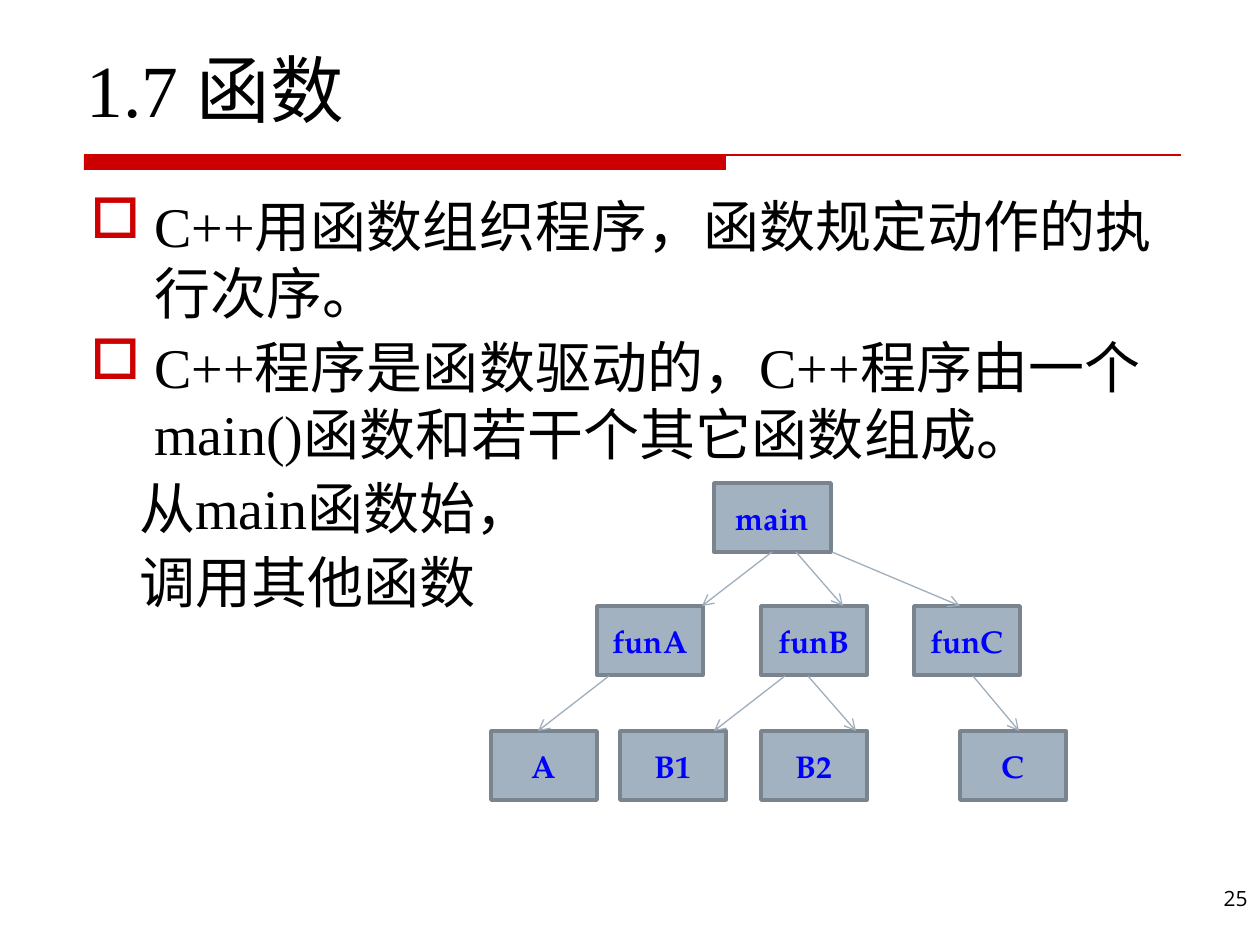
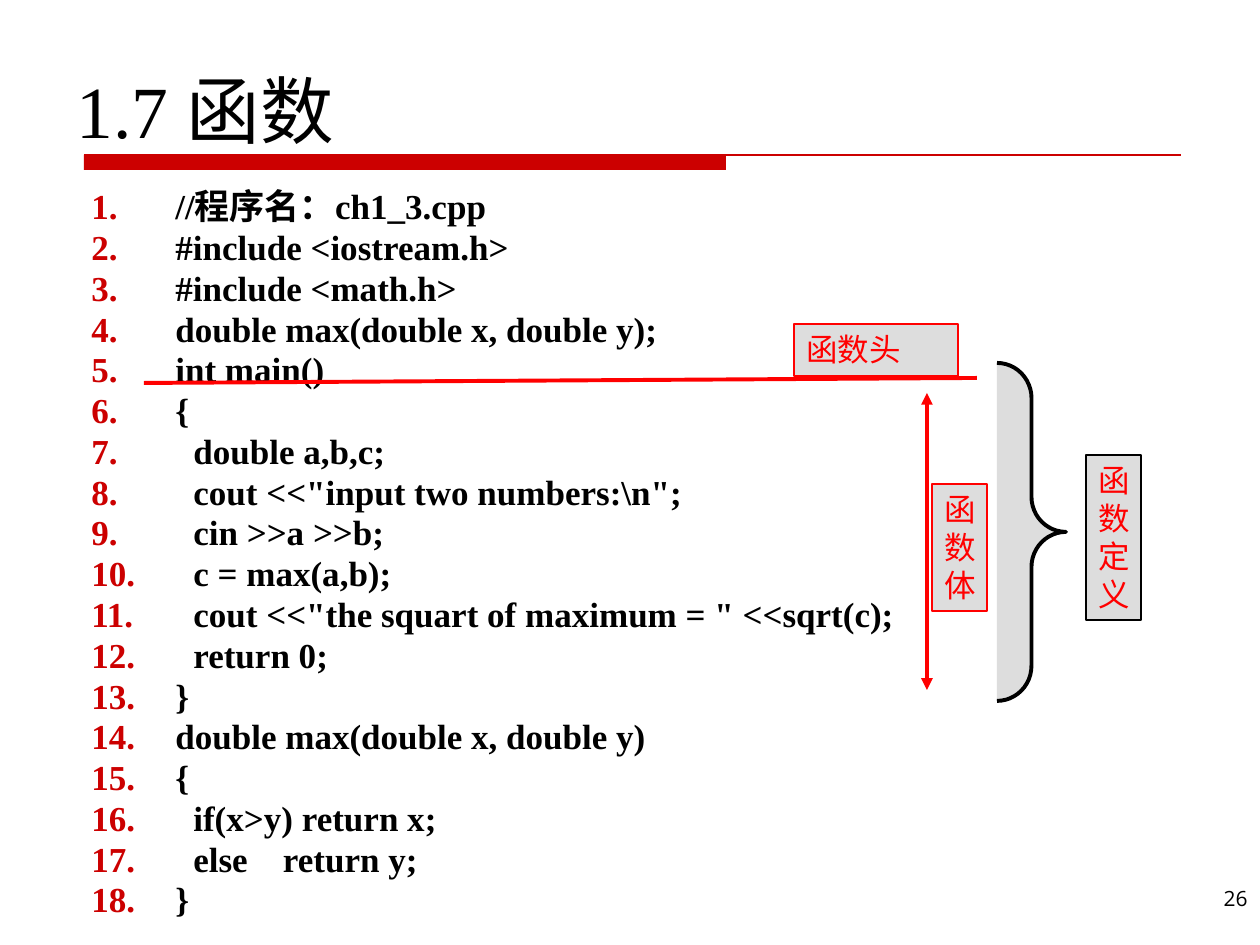
"""Builds two lecture slides on C++ functions: a call tree and an annotated program."""
from lxml import etree
from pptx import Presentation
from pptx import util as u
from pptx.dml.color import RGBColor
from pptx.enum import shapes, text
from pptx.oxml.ns import qn

PX = 914400 // 126
SERIF, SANS, BOOK = "Times New Roman", "Open Sans", "TeX Gyre Pagella"
LEFT, CENTER, RIGHT = text.PP_ALIGN.LEFT, text.PP_ALIGN.CENTER, text.PP_ALIGN.RIGHT
THEME = {
    "color": {"accent": "CC0000", "ink": "000000", "note": "FF0000", "pale": "DDDDDD",
              "node": "A3B2C1", "node_edge": "79848F", "link": "9FAEBD", "node_text": "0000FF"},
    "title": ({"name": SERIF, "size": u.Pt(42), "bold": False}, "ink", {"alignment": LEFT}),
    "number": ({"name": SANS, "size": u.Pt(12), "bold": False}, "ink", {"alignment": RIGHT}),
    "body": ({"name": SERIF, "size": u.Pt(32), "bold": False}, "ink",
             {"alignment": LEFT, "space_before": u.Pt(3.8)}),
    "code": ({"name": SERIF, "size": u.Pt(20), "bold": True}, "ink",
             {"alignment": LEFT, "space_before": u.Pt(2.9), "line_spacing": 0.85}),
    "node": ({"name": BOOK, "size": u.Pt(18), "bold": True}, "node_text", {"alignment": CENTER}),
    "note": ({"name": SERIF, "size": u.Pt(18), "bold": False}, "note", {"alignment": LEFT}),
}
COLOR = {k: RGBColor.from_string(v) for k, v in THEME["color"].items()}


def add_box(s, at, lines, style, fill=None, edge=None, width=0.75, anchor="TOP", kind="RECTANGLE"):
    at = [v * PX for v in at]
    if fill:
        sp = s.shapes.add_shape(getattr(shapes.MSO_SHAPE, kind), *at)
        sp.shadow.inherit = False
        sp.fill.solid()
        sp.fill.fore_color.rgb = COLOR[fill]
        if edge:
            sp.line.color.rgb = COLOR[edge]
            sp.line.width = u.Pt(width)
        else:
            sp.line.fill.background()
    else:
        sp = s.shapes.add_textbox(*at)
    tf = sp.text_frame
    tf.word_wrap = True
    tf.vertical_anchor = getattr(text.MSO_ANCHOR, anchor)
    font, color, layout = THEME[style]
    for i, (line, bullet, margin) in enumerate(lines):
        p = tf.add_paragraph() if i else tf.paragraphs[0]
        for k, v in layout.items():
            setattr(p, k, v)
        if margin:
            pPr = p._p.get_or_add_pPr()
            pPr.set("marL", str(margin * PX))
            pPr.set("indent", str(-margin * PX if bullet else 0))
        if bullet:
            clr = etree.SubElement(pPr, qn("a:buClr"))
            etree.SubElement(clr, qn("a:srgbClr"), val=THEME["color"]["accent"])
            tag, key = ("a:buAutoNum", "type") if bullet == "arabicPeriod" else ("a:buChar", "char")
            etree.SubElement(pPr, qn(tag)).set(key, bullet)
        for piece in line.split("|"):
            r = p.add_run()
            r.text = piece
            for k, v in font.items():
                setattr(r.font, k, v)
            r.font.color.rgb = COLOR[color]
            if piece == " ":
                r._r.get_or_add_rPr().set("spc", "1500")
    return sp


def add_line(s, ends, color, width=0.75, **arrows):
    c = s.shapes.add_connector(shapes.MSO_CONNECTOR.STRAIGHT, *[v * PX for v in ends])
    c.line.color.rgb = COLOR[color]
    c.line.width = u.Pt(width)
    ln = c.line._get_or_add_ln()
    for tag, kind in arrows.items():
        etree.SubElement(ln, qn("a:" + tag), type=kind)
    etree.SubElement(c._element.spPr, qn("a:effectLst"))


prs = Presentation()
prs.slide_width, prs.slide_height = u.Inches(10), u.Inches(7.5)
slides = []
for number, title_at in (("25", (74, 45, 1102, 93)), ("26", (64, 35, 1155, 124))):
    s = prs.slides.add_slide(prs.slide_layouts[6])
    add_box(s, (84, 155, 642, 15), [], "body", "accent")
    add_line(s, (84, 155, 1181, 155), "accent")
    add_box(s, (990, 879, 270, 66), [(number, None, 0)], "number")
    add_box(s, title_at, [("1.7 函数", None, 0)], "title", anchor="BOTTOM")
    slides.append(s)
tree, program = slides

add_box(tree, (78, 185, 1102, 684), [
    ("C++用函数组织程序，函数规定动作的执行次序。", "□", 64),
    ("C++程序是函数驱动的，C++程序由一个main()函数和若干个其它函数组成。", "□", 64),
    ("从main函数始，", None, 49),
    ("调用其他函数", None, 49),
], "body")

levels = [
    (483, 117, {"main": 714}),
    (606, 106, {"funA": 597, "funB": 761, "funC": 914}),
    (731, 106, {"A": 491, "B1": 620, "B2": 761, "C": 960}),
]
for y, w, nodes in levels:
    for name, x in nodes.items():
        add_box(tree, (x, y, w, 69), [(name, None, 0)], "node", "node", "node_edge", 2, "MIDDLE")
calls = [
    (552, 606, [(772, 702), (796, 843), (832, 960)]),
    (676, 731, [(609, 538), (785, 714), (808, 856), (973, 1019)]),
]
for y1, y2, spans in calls:
    for x1, x2 in spans:
        add_line(tree, (x1, y1, x2, y2), "link", tailEnd="arrow")

CODE = """//程序名：ch1_3.cpp
#include <iostream.h>
#include <math.h>
double max(double x, double y);
int main()
{
  double a,b,c;
  cout <<"input two numbers:\\n";
  cin >>a >>b;
  c = max(a,b);
  cout <<"the squart of maximum = " <<sqrt(c);
  return 0;
}
double max(double x, double y)
{
  if(x>y) return x;
  else| |return y;
}"""
lines = [(row.strip(), "arabicPeriod", 102 if row.startswith(" ") else 84)
         for row in CODE.split("\n")]
add_box(program, (79, 185, 1096, 704), lines, "code")

add_line(program, (144, 383, 977, 378), "note", 2.25)
add_line(program, (927, 393, 927, 690), "note", 2.25, headEnd="triangle", tailEnd="triangle")
brace = add_box(program, (997, 363, 69, 338), [], "note", "pale", "ink", 2.25, kind="RIGHT_BRACE")
brace.adjustments[0], brace.adjustments[1] = 0.51, 0.5
notes = [
    ("函数头", (794, 324, 164, 52), "note"),
    ("函数体", (932, 484, 55, 127), "note"),
    ("函数定义", (1086, 455, 55, 165), "ink"),
]
for label, at, edge in notes:
    add_box(program, at, [(label, None, 0)], "note", "pale", edge)

prs.save("out.pptx")
